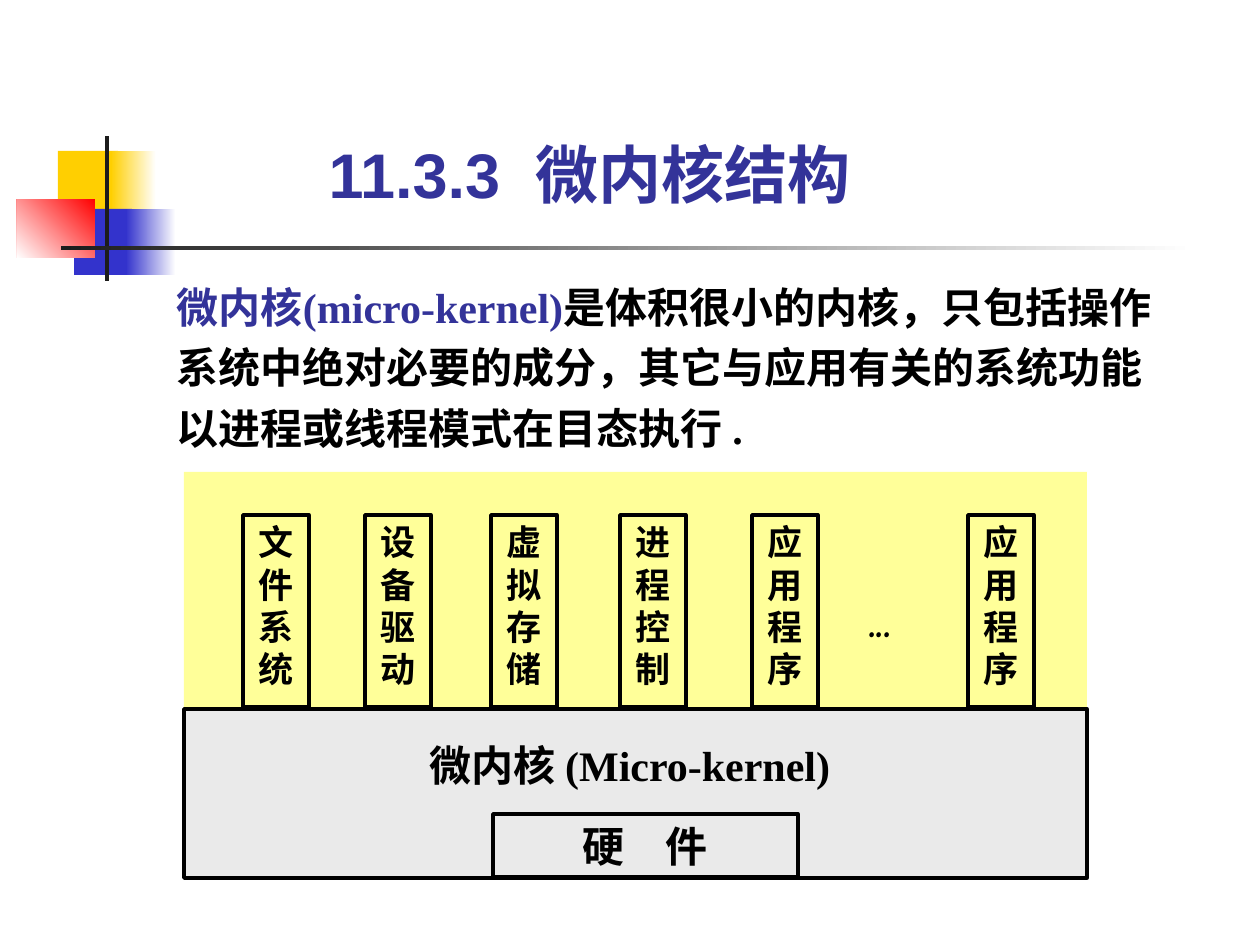
import pptx
import pptx.dml.color
import pptx.enum.shapes
import pptx.enum.text
import pptx.util

RGBColor = pptx.dml.color.RGBColor
ALIGN = pptx.enum.text.PP_ALIGN
ANCHOR = pptx.enum.text.MSO_ANCHOR

WHITE = RGBColor(0xFF, 0xFF, 0xFF)
BLACK = RGBColor(0x00, 0x00, 0x00)
CHARCOAL = RGBColor(0x1C, 0x1C, 0x1C)
GOLD = RGBColor(0xFF, 0xCF, 0x01)
BLUE = RGBColor(0x33, 0x33, 0xCC)
RED = RGBColor(0xFF, 0x00, 0x00)
NAVY = RGBColor(0x33, 0x33, 0x99)
PALE_YELLOW = RGBColor(0xFF, 0xFF, 0x99)
LIGHT_GRAY = RGBColor(0xEA, 0xEA, 0xEA)

SERIF = "Times New Roman"
MODULE_TOP, MODULE_WIDTH, MODULE_HEIGHT = 515, 66, 192
MODULES = [
    (243, "文件系统"),
    (365, "设备驱动"),
    (491, "虚拟存储"),
    (620, "进程控制"),
    (752, "应用程序"),
    (968, "应用程序"),
]


def px(length):
    return pptx.util.Emu(round(length * 914400 / 126))


def add_rectangle(slide, box, fill=None, gradient=None, angle=180, outlined=False):
    """Gradient is a (start, end) colour pair; angle runs counter-clockwise."""
    shape = slide.shapes.add_shape(
        pptx.enum.shapes.MSO_SHAPE.RECTANGLE, *map(px, box))
    shape.shadow.inherit = False
    if gradient:
        shape.fill.gradient()
        shape.fill.gradient_angle = angle
        for stop, color in zip(shape.fill.gradient_stops, gradient):
            stop.color.rgb = color
    elif fill is not None:
        shape.fill.solid()
        shape.fill.fore_color.rgb = fill
    else:
        shape.fill.background()
    if outlined:
        shape.line.color.rgb = BLACK
        shape.line.width = pptx.util.Pt(2)
    else:
        shape.line.fill.background()
    return shape


def set_frame(shape, insets=(0, 0, 0, 0), anchor=ANCHOR.TOP, align=ALIGN.CENTER):
    """Prepare the text frame and return its first paragraph; insets in px."""
    frame = shape.text_frame
    frame.word_wrap = True
    frame.auto_size = pptx.enum.text.MSO_AUTO_SIZE.NONE
    frame.vertical_anchor = anchor
    (frame.margin_left, frame.margin_top,
     frame.margin_right, frame.margin_bottom) = map(px, insets)
    paragraph = frame.paragraphs[0]
    paragraph.alignment = align
    return paragraph


def add_run(paragraph, text, size=24, color=BLACK, font=SERIF, spacing=0):
    """Spacing is extra character spacing in points."""
    run = paragraph.add_run()
    run.text = text
    run.font.size = pptx.util.Pt(size)
    run.font.bold = True
    run.font.name = font
    run.font.color.rgb = color
    if spacing:
        run.font._element.set("spc", str(spacing * 100))


def add_text_box(slide, box, **frame_options):
    return set_frame(slide.shapes.add_textbox(*map(px, box)), **frame_options)


def add_decoration(slide):
    add_rectangle(slide, (58, 151, 60, 66), GOLD)
    add_rectangle(slide, (111, 151, 45, 66), gradient=(WHITE, GOLD))
    add_rectangle(slide, (74, 209, 58, 66), BLUE)
    add_rectangle(slide, (126, 209, 50, 66), gradient=(WHITE, BLUE))
    add_rectangle(slide, (17, 199, 78, 59), gradient=(RED, WHITE), angle=225)
    add_rectangle(slide, (105, 136, 4, 145), CHARCOAL)
    add_rectangle(slide, (61, 246, 1134, 4), gradient=(WHITE, CHARCOAL))


def format_title(slide):
    title = slide.shapes.title
    title.left, title.top, title.width, title.height = map(px, (292, 135, 595, 76))
    paragraph = set_frame(title, anchor=ANCHOR.MIDDLE)
    style = {"size": 36, "color": NAVY, "font": "Arial"}
    add_run(paragraph, "11.3.3", **style)
    add_run(paragraph, " ", spacing=10, **style)
    add_run(paragraph, "微内核结构", **style)


def add_definition(slide):
    paragraph = add_text_box(slide, (164, 265, 1008, 194),
                             insets=(13, 6, 13, 6), align=ALIGN.LEFT)
    paragraph.line_spacing = 1.2
    add_run(paragraph, "微内核(micro-kernel)", color=NAVY)
    add_run(paragraph, "是体积很小的内核，只包括操作系统中绝对必要的成分，"
                       "其它与应用有关的系统功能以进程或线程模式在目态执行 .")


def add_module(slide, left, name):
    shape = add_rectangle(
        slide, (left, MODULE_TOP, MODULE_WIDTH, MODULE_HEIGHT), outlined=True)
    add_run(set_frame(shape, insets=(13, 6, 13, 16)), name, size=20)


def add_architecture(slide):
    add_rectangle(slide, (184, 472, 903, 238), PALE_YELLOW)
    add_rectangle(slide, (184, 709, 903, 169), LIGHT_GRAY, outlined=True)
    for left, name in MODULES:
        add_module(slide, left, name)

    ellipsis = add_text_box(slide, (868, 605, 69, 40), align=ALIGN.LEFT)
    ellipsis.line_spacing = 0.8
    add_run(ellipsis, "...", font="Comic Neue")

    kernel = add_text_box(slide, (392, 740, 476, 50))
    add_run(kernel, "微内核 (Micro-kernel)")

    hardware_box = add_rectangle(slide, (493, 814, 305, 63), outlined=True)
    hardware = set_frame(hardware_box, insets=(13, 6, 13, 6), anchor=ANCHOR.MIDDLE)
    add_run(hardware, "硬")
    add_run(hardware, " ", spacing=18)
    add_run(hardware, "件")


def main():
    presentation = pptx.Presentation()
    presentation.slide_width = px(1260)
    presentation.slide_height = px(945)
    slide = presentation.slides.add_slide(presentation.slide_layouts[5])
    add_decoration(slide)
    format_title(slide)
    add_definition(slide)
    add_architecture(slide)
    presentation.save("out.pptx")


if __name__ == "__main__":
    main()
